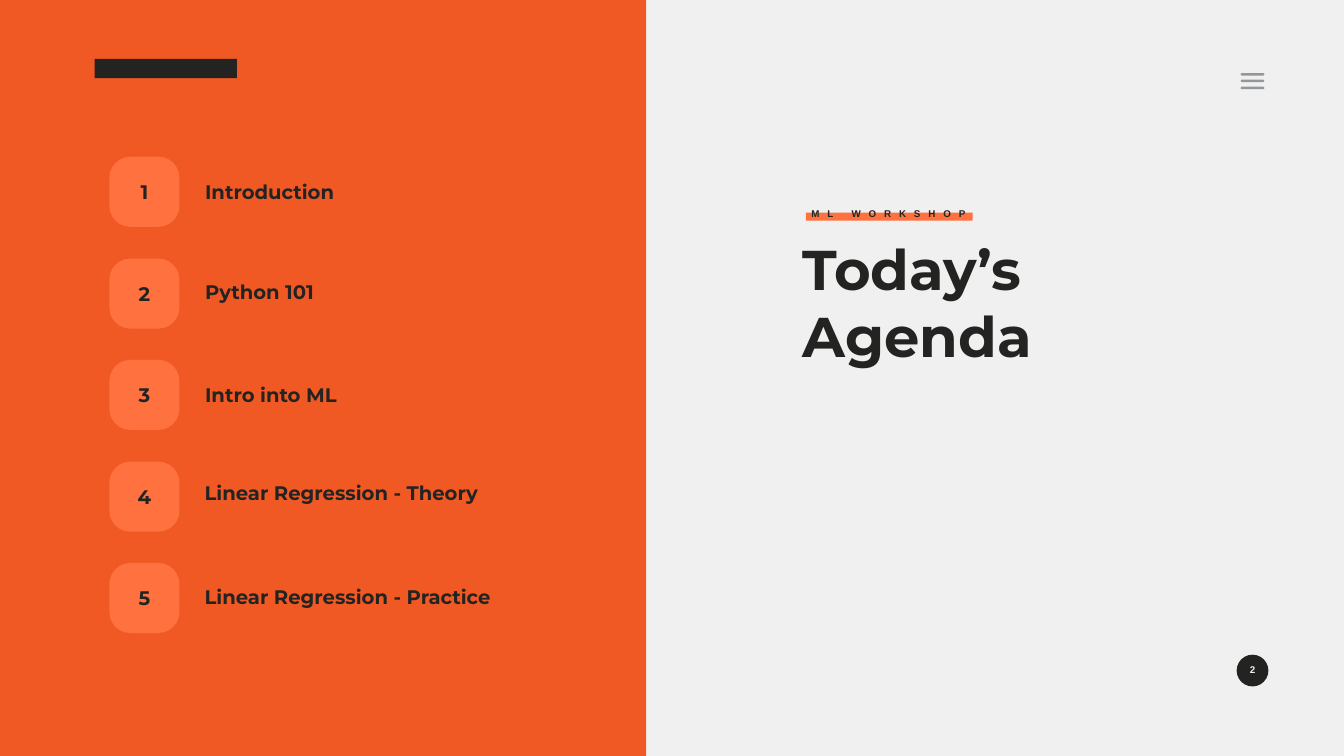
"""Build the agenda slide of a machine learning workshop."""
from dataclasses import dataclass

from pptx import Presentation
from pptx.dml.color import RGBColor
from pptx.enum.shapes import MSO_SHAPE
from pptx.enum.text import PP_ALIGN
from pptx.util import Emu, Pt

PX = 9144


@dataclass(frozen=True)
class Theme:
    paper: str = "EFF0EF"
    panel: str = "F15924"
    accent: str = "FF713F"
    ink: str = "232422"
    menu: str = "94969C"
    light: str = "F0F0F0"
    heading_font: str = "Montserrat"
    small_font: str = "Arial"
    title_size: int = 80
    item_size: int = 28
    small_size: int = 14


theme = Theme()
presentation = Presentation()
presentation.slide_width = Emu(2667 * PX)
presentation.slide_height = Emu(1500 * PX)
slide = presentation.slides.add_slide(presentation.slide_layouts[6])
slide.background.fill.solid()
slide.background.fill.fore_color.rgb = RGBColor.from_string(theme.paper)


def add_block(kind, left, top, width, height, color):
    block = slide.shapes.add_shape(kind, *(Emu(n * PX) for n in (left, top, width, height)))
    block.shadow.inherit = False
    block.fill.solid()
    block.fill.fore_color.rgb = RGBColor.from_string(color)
    block.line.fill.background()
    return block


def add_text(text, left, top, width, height, size, font=theme.heading_font,
             color=theme.ink, align=PP_ALIGN.LEFT):
    box = slide.shapes.add_textbox(*(Emu(n * PX) for n in (left, top, width, height)))
    frame = box.text_frame
    frame.word_wrap = True
    frame.margin_left = frame.margin_right = Emu(6 * PX)
    frame.margin_top = frame.margin_bottom = Emu(6 * PX)
    frame.text = text
    paragraph = frame.paragraphs[0]
    paragraph.alignment = align
    run = paragraph.runs[0]
    run.font.name = font
    run.font.size = Pt(size)
    run.font.bold = True
    run.font.color.rgb = RGBColor.from_string(color)
    return paragraph


add_block(MSO_SHAPE.OVAL, 2454, 1299, 63, 63, theme.ink)
add_block(MSO_SHAPE.RECTANGLE, 0, 0, 1282, 1500, theme.panel)
add_text("2", 2454, 1311, 63, 33, theme.small_size, theme.small_font, theme.light, PP_ALIGN.CENTER)

menu_outline = slide.shapes.build_freeform(2464, 145, scale=PX)
for bar_top in (145, 158, 172):
    if bar_top > 145:
        menu_outline.move_to(2464, bar_top)
    menu_outline.add_line_segments([
        (2507, bar_top), (2509, bar_top + 2), (2509, bar_top + 3), (2507, bar_top + 5),
        (2464, bar_top + 5), (2462, bar_top + 3), (2462, bar_top + 2),
    ])
menu_icon = menu_outline.convert_to_shape()
menu_icon.shadow.inherit = False
menu_icon.fill.solid()
menu_icon.fill.fore_color.rgb = RGBColor.from_string(theme.menu)
menu_icon.line.fill.background()

add_text("Today’s Agenda", 1587, 459, 817, 281, theme.title_size)
add_block(MSO_SHAPE.RECTANGLE, 1599, 422, 331, 16, theme.accent)
workshop = add_text("ML WORKSHOP", 1604, 401, 365, 37, theme.small_size, theme.small_font)
workshop.line_spacing = 1.2
workshop.runs[0]._r.get_or_add_rPr().set("spc", "1120")

agenda = [
    ("Introduction", 401, 351, 648),
    ("Python 101", 401, 550, 727),
    ("Intro into ML", 401, 754, 648),
    ("Linear Regression - Theory", 400, 948, 730),
    ("Linear Regression - Practice", 400, 1155, 648),
]
for index, (topic, topic_left, topic_top, topic_width) in enumerate(agenda):
    tile_top = 311 + (403 * index + 1) // 2
    add_text(topic, topic_left, topic_top, topic_width, 58, theme.item_size)
    tile = add_block(MSO_SHAPE.ROUNDED_RECTANGLE, 217, tile_top, 139, 139, theme.accent)
    tile.adjustments[0] = 0.3
    add_text(str(index + 1), 227, tile_top + 40, 119, 58, theme.item_size, align=PP_ALIGN.CENTER)

add_block(MSO_SHAPE.RECTANGLE, 188, 117, 282, 38, theme.ink)

presentation.save("out.pptx")
